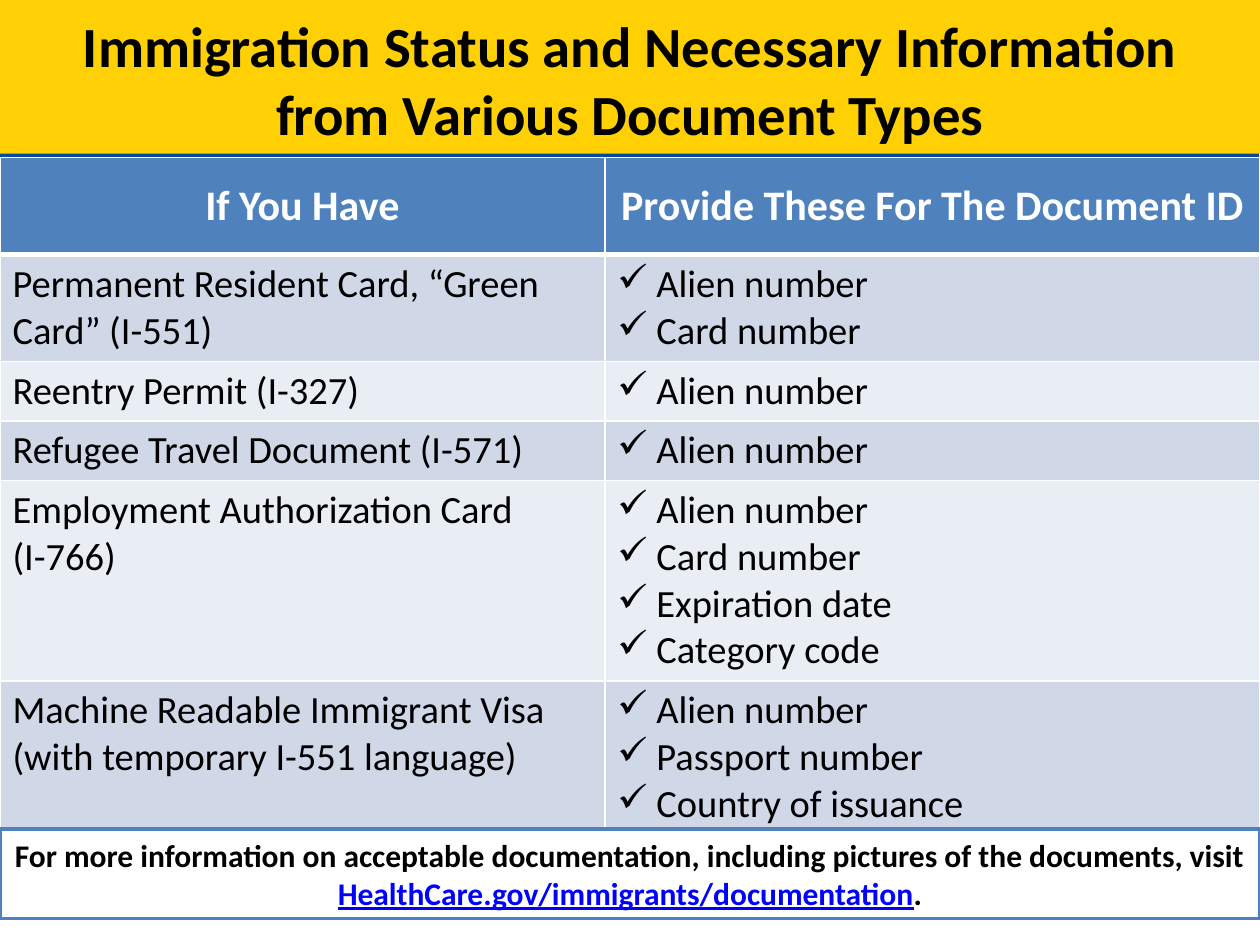
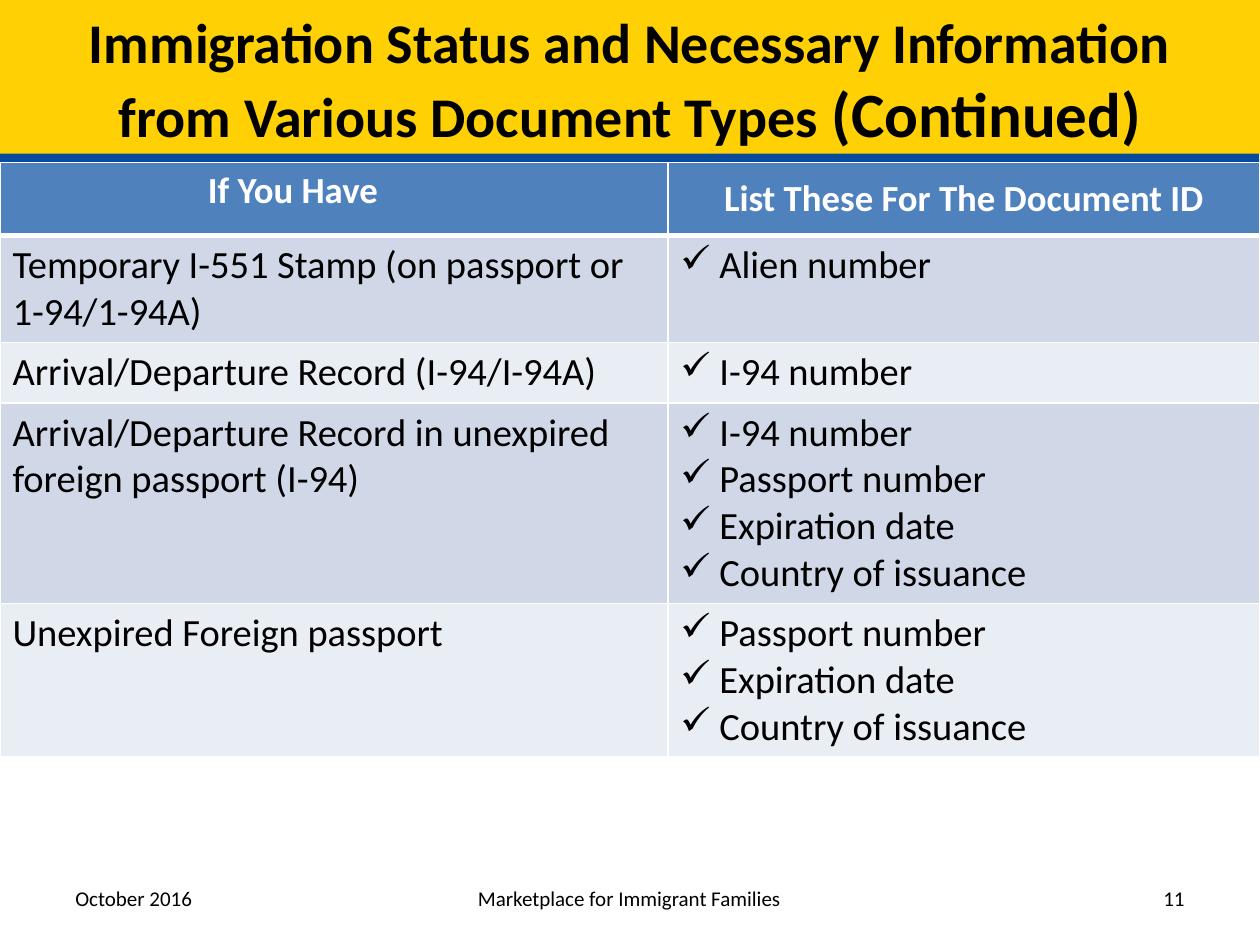
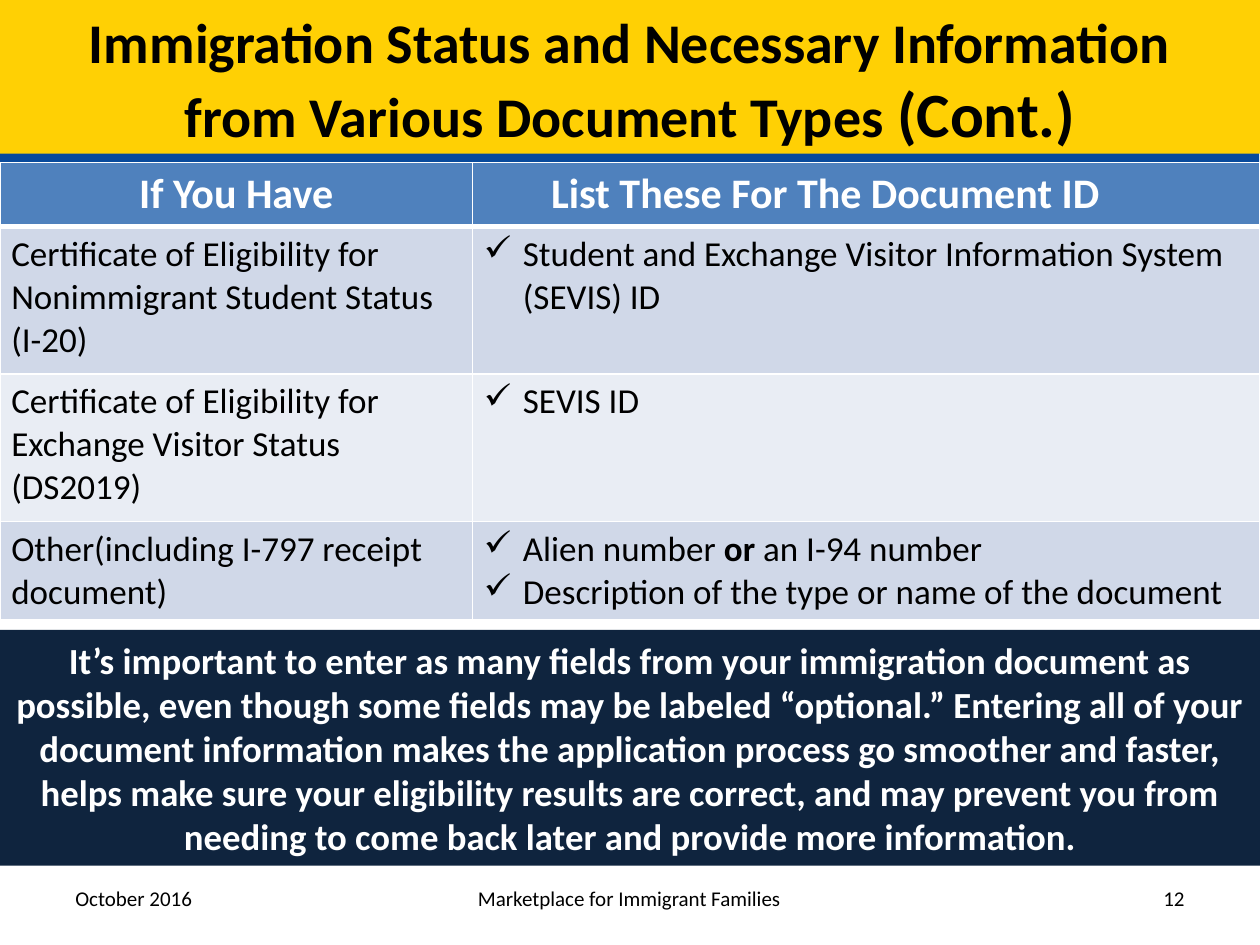
"""Build three slides on immigration papers and the details each one needs."""
from dataclasses import dataclass, field
from typing import Any

from lxml import etree
from pptx import Presentation
from pptx import util as u
from pptx.dml.color import RGBColor
from pptx.enum import shapes, text
from pptx.oxml import ns

HUES = {"gold": "FFD004", "blue": "084A9C", "head": "4F81BD", "odd": "D0D8E8",
        "even": "E9EDF4", "navy": "0F243E", "white": "FFFFFF", "black": "000000",
        "link": "0000FF"}
FACE = "Calibri"
LEFT, MID, RIGHT = text.PP_ALIGN.LEFT, text.PP_ALIGN.CENTER, text.PP_ALIGN.RIGHT
HEAD = "Immigration Status and Necessary Information from Various Document Types"
ALIEN, CARD, PASS = "Alien number", "Card number", "Passport number"
I94, DATE, LAND = "I-94 number", "Expiration date", "Country of issuance"


@dataclass
class Run:
    """Words with their own format values."""
    words: str
    form: dict[str, Any] = field(default_factory=dict)


@dataclass
class Box:
    """Place and size in inches."""
    left: float
    top: float
    width: float
    height: float

    def spots(self) -> tuple:
        """Give the four lengths."""
        return tuple(map(u.Inches, (self.left, self.top, self.width, self.height)))


@dataclass
class Head:
    """Column head with its right margin and anchor."""
    words: str
    pad: float = 0.1
    anchor: Any = text.MSO_ANCHOR.MIDDLE


@dataclass
class Grid:
    """Table with two columns: papers and details."""
    top: float
    cols: list[float]
    rows: list[float]
    heads: list[Head]
    sizes: tuple[float, float]
    body: list[tuple[list, list]]
    inset: float = 0.1


@dataclass
class Panel:
    """Filled box with centred bold text."""
    box: Box
    fill: str
    size: float
    runs: list[Run]
    hue: str = "black"
    line: str = ""


@dataclass
class Page:
    """All that one slide holds."""
    title: list[Run]
    size: float
    grid: Grid
    panel: Panel | None = None
    num: str = ""


def tint(name: str) -> RGBColor:
    """Look up a colour."""
    return RGBColor.from_string(HUES[name])


def tag(root: Any, name: str, **vals: Any) -> Any:
    """Add a drawing element with its values."""
    return etree.SubElement(root, ns.qn(f"a:{name}"), {k: str(v) for k, v in vals.items()})


def write(frame: Any, paras: list, size: float, hue: str = "black", bold: bool = False,
          align: Any = LEFT, tick: bool = False) -> None:
    """Fill a text frame with paragraphs of text or runs."""
    frame.word_wrap = True
    for i, runs in enumerate(paras):
        para = frame.add_paragraph() if i else frame.paragraphs[0]
        para.alignment = align
        if tick:
            props = para._p.get_or_add_pPr()
            props.set("marL", str(u.Inches(0.31)))
            props.set("indent", str(-u.Inches(0.31)))
            tag(props, "buChar", char="✓")
        for part in [Run(runs)] if isinstance(runs, str) else runs:
            run = para.add_run()
            run.text = part.words
            form = {"name": FACE, "size": size, "hue": hue, "bold": bold} | part.form
            run.font.color.rgb = tint(form.pop("hue"))
            form["size"] = u.Pt(form["size"])
            for key, val in form.items():
                setattr(run.font, key, val)


def block(slide: Any, box: Box, fill: str, line: str = "") -> Any:
    """Draw a plain filled box."""
    shape = slide.shapes.add_shape(shapes.MSO_SHAPE.RECTANGLE, *box.spots())
    shape.shadow.inherit = False
    shape.fill.solid()
    shape.fill.fore_color.rgb = tint(fill)
    if line:
        shape.line.color.rgb = tint(line)
        shape.line.width = u.Pt(2)
    else:
        shape.line.fill.background()
    return shape


def band(slide: Any) -> None:
    """Put the gold title band with its blue edge behind the title."""
    shape = block(slide, Box(0, -0.03, 10, 1.25), "gold")
    glow = tag(shape._element.spPr.find(ns.qn("a:effectLst")), "outerShdw", blurRad=0,
               dist=u.Pt(6), dir=94 * 60000, algn="t", rotWithShape=0)
    tag(glow, "srgbClr", val=HUES["blue"])
    slide.shapes._spTree.insert(2, shape._element)


def name(slide: Any, runs: list[Run], size: float) -> None:
    """Place and write the title."""
    title = slide.shapes.title
    spots = Box(0.5, 0, 9, 1.25).spots()
    for key, val in zip(("left", "top", "width", "height"), spots):
        setattr(title, key, val)
    title.text_frame.vertical_anchor = text.MSO_ANCHOR.MIDDLE
    write(title.text_frame, [runs], size, bold=True, align=MID)


def edge(cell: Any, row: int) -> None:
    """Rule a cell in white, thick below the head row."""
    props = cell._tc.get_or_add_tcPr()
    wide = {"L": 1, "R": 1, "T": 3 if row == 1 else 1, "B": 3 if row == 0 else 1}
    for side, width in wide.items():
        fill = tag(tag(props, f"ln{side}", w=u.Pt(width)), "solidFill")
        tag(fill, "srgbClr", val=HUES["white"])


def table(slide: Any, grid: Grid) -> None:
    """Draw the table of papers and details."""
    box = Box(0, grid.top, sum(grid.cols), sum(grid.rows))
    tab = slide.shapes.add_table(len(grid.rows), len(grid.cols), *box.spots()).table
    for col, width in zip(tab.columns, grid.cols):
        col.width = u.Inches(width)
    for row, height in zip(tab.rows, grid.rows):
        row.height = u.Inches(height)
    for i, line in enumerate([grid.heads, *grid.body]):
        for j, item in enumerate(line):
            cell = tab.cell(i, j)
            edge(cell, i)
            cell.margin_left = cell.margin_right = u.Inches(grid.inset)
            cell.fill.solid()
            cell.fill.fore_color.rgb = tint("odd" if i % 2 else "even" if i else "head")
            if i:
                write(cell.text_frame, item, grid.sizes[1], tick=j == 1)
            else:
                cell.margin_right = u.Inches(item.pad)
                cell.vertical_anchor = item.anchor
                write(cell.text_frame, [item.words], grid.sizes[0], "white", True, MID)


def note(slide: Any, panel: Panel) -> None:
    """Draw the panel below the table."""
    shape = block(slide, panel.box, panel.fill, panel.line)
    shape.text_frame.vertical_anchor = text.MSO_ANCHOR.MIDDLE
    write(shape.text_frame, [panel.runs], panel.size, panel.hue, True, MID)


def foot(slide: Any, num: str) -> None:
    """Write date, deck name and slide number."""
    parts = [(0.5, 2.33, "October 2016", LEFT),
             (2.83, 4.33, "Marketplace for Immigrant Families", MID),
             (7.17, 2.33, num, RIGHT)]
    for left, width, words, align in parts:
        box = slide.shapes.add_textbox(*Box(left, 6.93, width, 0.4).spots())
        box.text_frame.vertical_anchor = text.MSO_ANCHOR.MIDDLE
        write(box.text_frame, [words], 12, align=align)


PAGES = [
    Page([Run(HEAD)], 32.4,
         Grid(1.25, [4.8, 5.2], [0.77, 0.85, 0.47, 0.47, 1.59, 1.22],
              [Head("If You Have"), Head("Provide These For The Document ID")], (24, 22),
              [(["Permanent Resident Card, “Green Card” (I-551)"], [ALIEN, CARD]),
               (["Reentry Permit (I-327)"], [ALIEN]),
               (["Refugee Travel Document (I-571)"], [ALIEN]),
               (["Employment Authorization Card", "(I-766)"],
                [ALIEN, CARD, DATE, "Category code"]),
               (["Machine Readable Immigrant Visa (with temporary I-551 language)"],
                [ALIEN, PASS, LAND])]),
         Panel(Box(0, 6.58, 10, 0.71), "white", 18,
               [Run("For more information on acceptable documentation, including pictures "
                    "of the documents, visit "),
                Run("HealthCare.gov/immigrants/documentation",
                    {"hue": "link", "underline": True}),
                Run(".")], line="head")),
    Page([Run(HEAD + " "), Run("(Continued)", {"size": 36})], 32,
         Grid(1.29, [5.3, 4.7], [0.58, 0.85, 0.48, 1.59, 1.21],
              [Head("If You Have", 0.75, text.MSO_ANCHOR.TOP),
               Head("List These For The Document ID")], (21, 22),
              [(["Temporary I-551 Stamp (on passport or 1-94/1-94A)"], [ALIEN]),
               (["Arrival/Departure Record (I-94/I-94A)"], [I94]),
               (["Arrival/Departure Record in unexpired foreign passport (I-94)"],
                [I94, PASS, DATE, LAND]),
               (["Unexpired Foreign passport"], [PASS, DATE, LAND])]),
         num="11"),
    Page([Run(HEAD + " "), Run("(Cont.)", {"size": 36})], 32,
         Grid(1.29, [3.75, 6.25], [0.51, 1.17, 1.17, 0.78],
              [Head("If You Have", 0.09, text.MSO_ANCHOR.TOP),
               Head("List These For The Document ID", 0.74)], (24, 20),
              [(["Certificate of Eligibility for Nonimmigrant Student Status (I-20)"],
                ["Student and Exchange Visitor Information System (SEVIS) ID"]),
               (["Certificate of Eligibility for Exchange Visitor Status (DS2019)"],
                ["SEVIS ID"]),
               (["Other(including I-797 receipt document)"],
                [[Run(ALIEN + " "), Run("or", {"bold": True}), Run(" an I-94 number")],
                 "Description of the type or name of the document"])], 0.09),
         Panel(Box(0, 5, 10, 1.87), "navy", 21,
               [Run("It’s important to enter as many fields from your immigration document "
                    "as possible, even though some fields may be labeled “optional.” Entering "
                    "all of your document information makes the application process go "
                    "smoother and faster, helps make sure your eligibility results are "
                    "correct, and may prevent you from needing to come back later and "
                    "provide more information.")], "white"),
         "12"),
]


def main() -> None:
    """Build and save the deck."""
    deck = Presentation()
    deck.slide_width, deck.slide_height = u.Inches(10), u.Inches(7.5)
    for page in PAGES:
        slide = deck.slides.add_slide(deck.slide_layouts[5])
        band(slide)
        name(slide, page.title, page.size)
        table(slide, page.grid)
        if page.panel:
            note(slide, page.panel)
        if page.num:
            foot(slide, page.num)
    deck.save("out.pptx")


if __name__ == "__main__":
    main()
